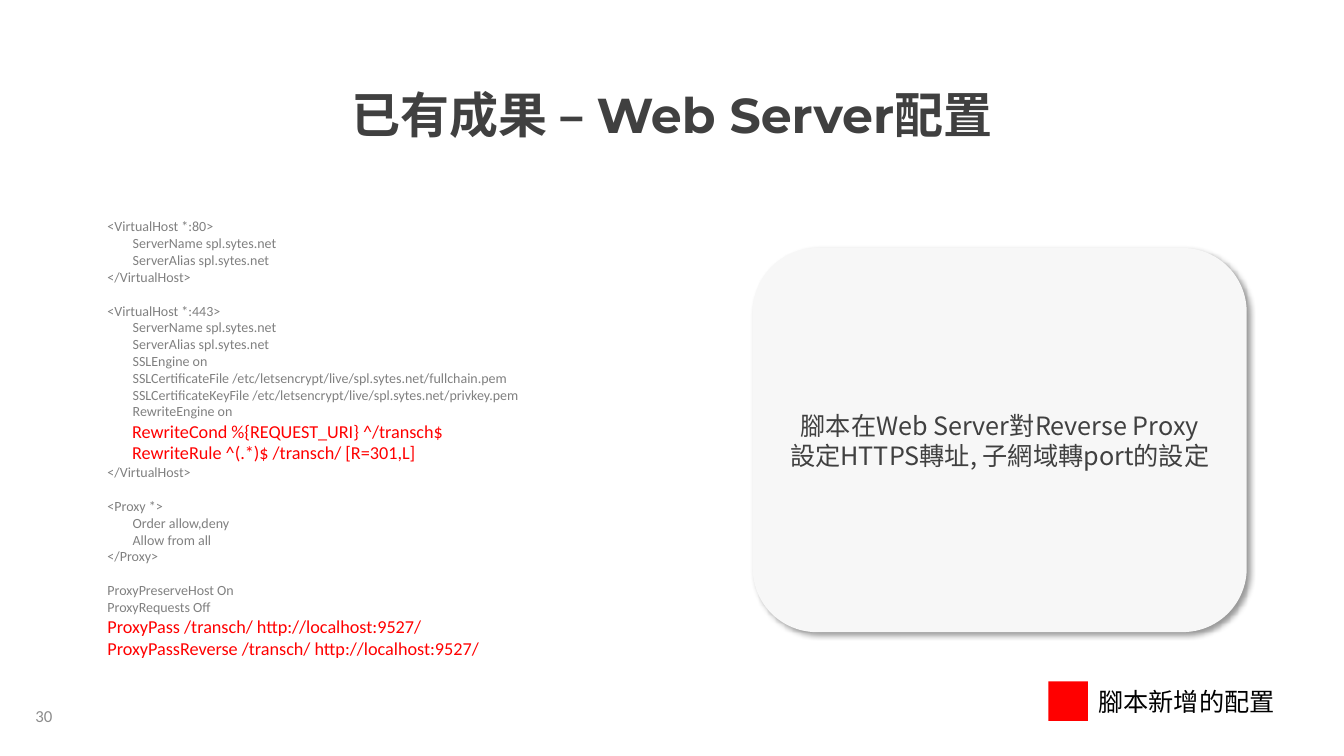
from lxml.etree import SubElement
from pptx import Presentation
from pptx.dml.color import RGBColor
from pptx.enum.shapes import MSO_SHAPE
from pptx.enum.text import MSO_ANCHOR, MSO_AUTO_SIZE, PP_ALIGN
from pptx.oxml.ns import qn
from pptx.util import Cm, Pt

DARK = RGBColor(0x40, 0x40, 0x40)
GRAY = RGBColor(0x80, 0x80, 0x80)
NUMBER_GRAY = RGBColor(0x8C, 0x8C, 0x8C)
PANEL = RGBColor(0xF7, 0xF7, 0xF7)
RED = RGBColor(0xFF, 0x00, 0x00)
BLACK = RGBColor(0x00, 0x00, 0x00)
CJK = "Noto Sans CJK SC"

CONFIG_BLOCKS = [
    """<VirtualHost *:80>
        ServerName spl.sytes.net
        ServerAlias spl.sytes.net
</VirtualHost>""",
    """<VirtualHost *:443>
        ServerName spl.sytes.net
        ServerAlias spl.sytes.net
        SSLEngine on
        SSLCertificateFile /etc/letsencrypt/live/spl.sytes.net/fullchain.pem
        SSLCertificateKeyFile /etc/letsencrypt/live/spl.sytes.net/privkey.pem
        RewriteEngine on
      RewriteCond %{REQUEST_URI} ^/transch$
      RewriteRule ^(.*)$ /transch/ [R=301,L]
</VirtualHost>""",
    """<Proxy *>
        Order allow,deny
        Allow from all
</Proxy>""",
    """ProxyPreserveHost On
ProxyRequests Off
ProxyPass /transch/ http://localhost:9527/
ProxyPassReverse /transch/ http://localhost:9527/""",
]
ADDED = ("RewriteCond", "RewriteRule", "ProxyPass ", "ProxyPassReverse")


def add_run(p, text, size, color, font=CJK, bold=False):
    r = p.add_run()
    r.text = text
    r.font.size = Pt(size)
    r.font.name = font
    r.font.bold = bold
    r.font.color.rgb = color
    SubElement(r.font._element, qn("a:ea")).set("typeface", CJK)


def add_text_box(s, left, top, width, height, wrap=False):
    sp = s.shapes.add_textbox(Cm(left), Cm(top), Cm(width), Cm(height))
    tf = sp.text_frame
    tf.word_wrap = wrap
    return tf


def add_block(s, kind, left, top, width, height, color):
    sp = s.shapes.add_shape(kind, Cm(left), Cm(top), Cm(width), Cm(height))
    sp.fill.solid()
    sp.fill.fore_color.rgb = color
    sp.line.fill.background()
    sp.shadow.inherit = False
    return sp


def add_shadow(sp):
    effects = sp._element.spPr.find(qn("a:effectLst"))
    shadow = SubElement(effects, qn("a:outerShdw"), blurRad=str(Pt(4)),
                        dist=str(Pt(3)), dir="2700000", algn="tl", rotWithShape="0")
    color = SubElement(shadow, qn("a:srgbClr"), val=str(BLACK))
    SubElement(color, qn("a:alpha"), val="40000")


def add_title(s, text):
    sp = s.shapes.title
    sp.left, sp.top, sp.width, sp.height = Cm(0), Cm(2), Cm(33.87), Cm(1.76)
    tf = sp.text_frame
    tf.auto_size = MSO_AUTO_SIZE.NONE
    tf.vertical_anchor = MSO_ANCHOR.TOP
    p = tf.paragraphs[0]
    p.alignment = PP_ALIGN.CENTER
    add_run(p, text, 35, DARK, "Montserrat", True)


def add_config(s):
    tf = add_text_box(s, 2.46, 5.36, 12.07, 11.46)
    p = tf.paragraphs[0]
    for i, block in enumerate(CONFIG_BLOCKS):
        for j, line in enumerate(block.split("\n")):
            if i or j:
                p = tf.add_paragraph()
            if i and not j:
                p.space_before = Pt(12.2)
            added = line.strip().startswith(ADDED)
            add_run(p, line, 13 if added else 10, RED if added else GRAY, "Calibri")


def add_summary(s, lines):
    sp = add_block(s, MSO_SHAPE.ROUNDED_RECTANGLE, 18.97, 6.25, 12.45, 9.68, PANEL)
    add_shadow(sp)
    tf = sp.text_frame
    tf.word_wrap = True
    tf.vertical_anchor = MSO_ANCHOR.MIDDLE
    for i, line in enumerate(lines):
        p = tf.add_paragraph() if i else tf.paragraphs[0]
        p.alignment = PP_ALIGN.CENTER
        add_run(p, line, 18, DARK)


def add_legend(s, text):
    add_block(s, MSO_SHAPE.RECTANGLE, 26.42, 17.17, 1, 1, RED)
    tf = add_text_box(s, 27.43, 17.17, 5, 1.02)
    add_run(tf.paragraphs[0], text, 18, BLACK)


def add_page_number(s, number):
    tf = add_text_box(s, 0, 17.53, 1.57, 1.02, wrap=True)
    tf.vertical_anchor = MSO_ANCHOR.MIDDLE
    p = tf.paragraphs[0]
    p.alignment = PP_ALIGN.RIGHT
    add_run(p, number, 12, NUMBER_GRAY, "Calibri")


def main():
    prs = Presentation()
    prs.slide_width, prs.slide_height = Cm(33.87), Cm(19.05)
    s = prs.slides.add_slide(prs.slide_layouts[5])
    add_title(s, "已有成果 – Web Server配置")
    add_summary(s, ["腳本在Web Server對Reverse Proxy",
                    "設定HTTPS轉址, 子網域轉port的設定"])
    add_config(s)
    add_legend(s, "腳本新增的配置")
    add_page_number(s, "30")
    prs.save("out.pptx")


if __name__ == "__main__":
    main()
